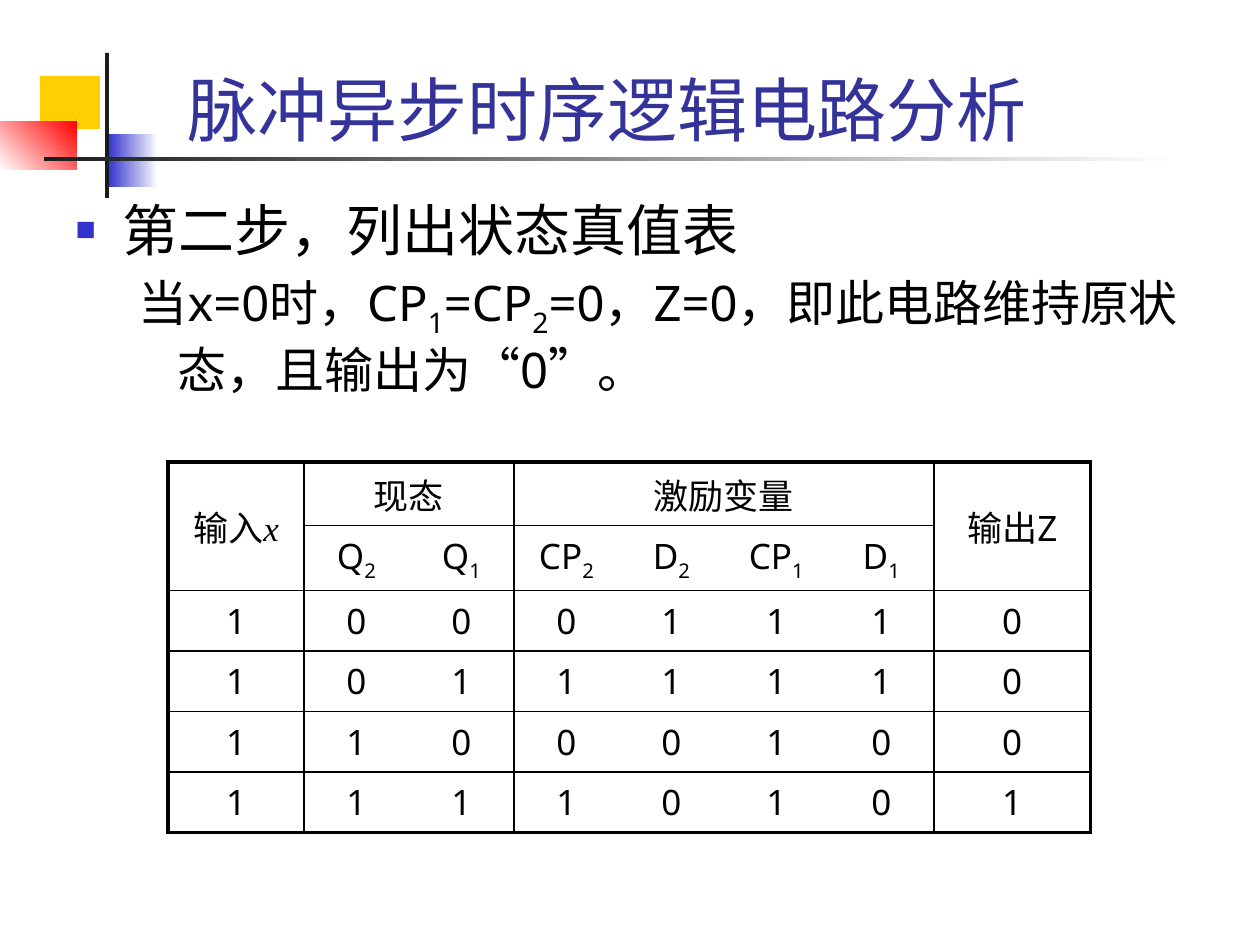
from lxml import etree
from pptx import Presentation
from pptx import util as u
from pptx.dml.color import RGBColor
from pptx.enum import shapes, text
from pptx.oxml import ns

YELLOW = RGBColor(0xFF, 0xCF, 0x01)
BLUE = RGBColor(0x33, 0x33, 0xCC)
NAVY = RGBColor(0x33, 0x33, 0x99)
RED = RGBColor(0xFF, 0x00, 0x00)
CHARCOAL = RGBColor(0x1C, 0x1C, 0x1C)
BLACK = RGBColor(0x00, 0x00, 0x00)
WHITE = RGBColor(0xFF, 0xFF, 0xFF)

PX_PER_INCH = 126
FONT = "Noto Sans"

COLUMN_WIDTHS = [136] + [105] * 6 + [157]
ROW_HEIGHTS = [63, 65] + [60] * 4
GROUP_EDGES = {0, 1, 3, 7, 8}
HEADINGS = [
    ((0, 0), (1, 0), "输入"),
    ((0, 1), (0, 2), "现态"),
    ((0, 3), (0, 6), "激励变量"),
    ((0, 7), (1, 7), "输出Z"),
]
VARIABLES = ["Q_2", "Q_1", "CP_2", "D_2", "CP_1", "D_1"]
STATES = ["10001110", "10111110", "11000100", "11110101"]


def px(length):
    return u.Emu(round(length * 914400 / PX_PER_INCH))


def place(shape, *box):
    shape.left, shape.top, shape.width, shape.height = map(px, box)


def child(parent, tag, **attributes):
    return etree.SubElement(parent, ns.qn(tag), attributes)


def style(font, size, color, name=FONT):
    font.size = u.Pt(size)
    font.name = name
    font.color.rgb = color


def write(paragraph, marked):
    first, *rest = marked.split("_")
    paragraph.add_run().text = first
    for part in rest:
        subscript = paragraph.add_run()
        subscript.text = part[0]
        subscript._r.get_or_add_rPr().set("baseline", "-25000")
        if part[1:]:
            paragraph.add_run().text = part[1:]


def add_block(slide, box, colors, angle=0):
    block = slide.shapes.add_shape(shapes.MSO_SHAPE.RECTANGLE, *map(px, box))
    block.shadow.inherit = False
    block.line.fill.background()
    if len(colors) == 1:
        block.fill.solid()
        block.fill.fore_color.rgb = colors[0]
        return
    block.fill.gradient()
    block.fill.gradient_angle = angle
    for stop, color, position in zip(block.fill.gradient_stops, colors, (0, 1)):
        stop.color.rgb = color
        stop.position = position


def add_ornament(slide):
    add_block(slide, (40, 76, 60, 53), [YELLOW])
    add_block(slide, (108, 134, 50, 53), [BLUE, WHITE])
    add_block(slide, (0, 122, 77, 48), [WHITE, RED], 45)
    add_block(slide, (105, 53, 4, 145), [CHARCOAL])
    add_block(slide, (44, 157, 1134, 4), [CHARCOAL, WHITE])


def fill_title(title):
    place(title, 175, 73, 1042, 84)
    frame = title.text_frame
    frame.auto_size = text.MSO_AUTO_SIZE.NONE
    frame.vertical_anchor = text.MSO_ANCHOR.BOTTOM
    heading = frame.paragraphs[0]
    heading.alignment = text.PP_ALIGN.LEFT
    write(heading, "脉冲异步时序逻辑电路分析")
    style(heading.font, 40, NAVY)


def indent(paragraph, margin, hanging):
    properties = paragraph._p.get_or_add_pPr()
    properties.set("marL", str(px(margin)))
    properties.set("indent", str(-px(hanging)))
    return properties


def fill_body(body):
    place(body, 63, 189, 1155, 672)
    frame = body.text_frame
    frame.auto_size = text.MSO_AUTO_SIZE.NONE
    step = frame.paragraphs[0]
    bullet = indent(step, 47, 47)
    child(child(bullet, "a:buClr"), "a:srgbClr", val=str(BLUE))
    child(bullet, "a:buSzPct", val="60000")
    child(bullet, "a:buChar", char="■")
    write(step, "第二步，列出状态真值表")
    style(step.font, 32, BLACK)

    detail = frame.add_paragraph()
    detail.level = 1
    child(indent(detail, 102, 39), "a:buNone")
    write(detail, "当x=0时，CP_1=CP_2=0，Z=0，即此电路维持原状态，且输出为“0”。")
    style(detail.font, 28, BLACK)


def set_border(cell, side, points):
    line = child(cell._tc.get_or_add_tcPr(), f"a:ln{side}", w=str(u.Pt(points)))
    if points:
        child(child(line, "a:solidFill"), "a:srgbClr", val=str(BLACK))
    else:
        child(line, "a:noFill")


def edge_width(edge, last, drawn=True):
    if edge in (0, last):
        return 2.25
    return 1 if drawn else 0


def format_cell(cell, row, column):
    for side, edge in (("L", column), ("R", column + 1)):
        set_border(cell, side, edge_width(edge, len(COLUMN_WIDTHS), edge in GROUP_EDGES))
    for side, edge in (("T", row), ("B", row + 1)):
        set_border(cell, side, edge_width(edge, len(ROW_HEIGHTS)))
    cell.fill.background()
    cell.vertical_anchor = text.MSO_ANCHOR.MIDDLE


def write_cell(cell, marked):
    entry = cell.text_frame.paragraphs[0]
    entry.alignment = text.PP_ALIGN.CENTER
    write(entry, marked)
    style(entry.font, 20, BLACK)
    return entry


def add_truth_table(slide):
    box = (168, 462, sum(COLUMN_WIDTHS), sum(ROW_HEIGHTS))
    table = slide.shapes.add_table(
        len(ROW_HEIGHTS), len(COLUMN_WIDTHS), *map(px, box)).table
    table.first_row = table.horz_banding = False
    for column, width in zip(table.columns, COLUMN_WIDTHS):
        column.width = px(width)
    for row, height in zip(table.rows, ROW_HEIGHTS):
        row.height = px(height)
    for r in range(len(ROW_HEIGHTS)):
        for c in range(len(COLUMN_WIDTHS)):
            format_cell(table.cell(r, c), r, c)
    for start, end, label in HEADINGS:
        table.cell(*start).merge(table.cell(*end))
        write_cell(table.cell(*start), label)
    symbol = table.cell(0, 0).text_frame.paragraphs[0].add_run()
    symbol.text = "x"
    style(symbol.font, 20, BLACK, "Times New Roman")
    symbol.font.italic = True
    for c, variable in enumerate(VARIABLES, 1):
        write_cell(table.cell(1, c), variable)
    for r, state in enumerate(STATES, 2):
        for c, bit in enumerate(state):
            write_cell(table.cell(r, c), bit)


def main():
    deck = Presentation()
    deck.slide_width, deck.slide_height = px(1260), px(945)
    slide = deck.slides.add_slide(deck.slide_layouts[1])
    add_ornament(slide)
    fill_title(slide.shapes.title)
    fill_body(slide.placeholders[1])
    add_truth_table(slide)
    deck.save("out.pptx")


if __name__ == "__main__":
    main()
